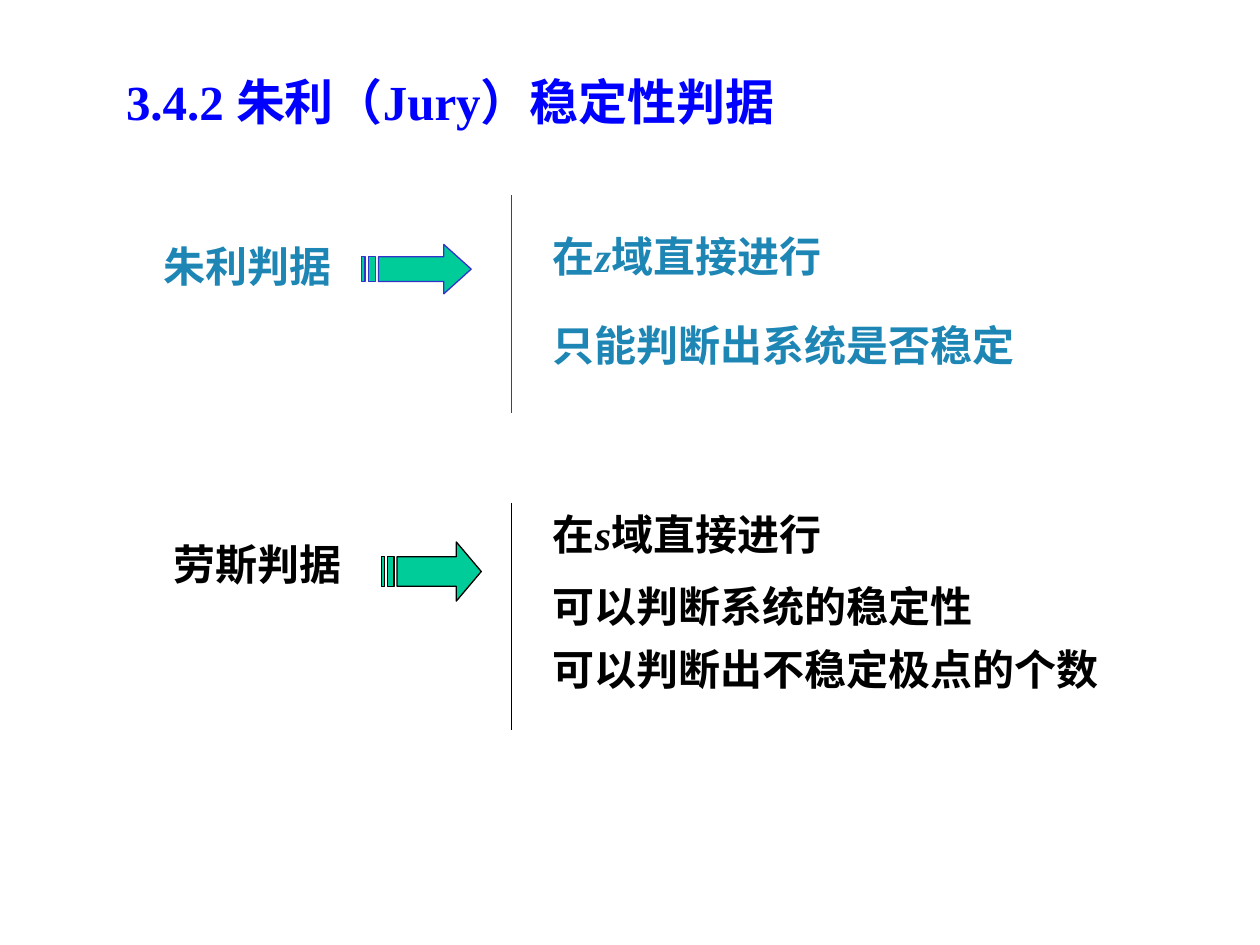
from dataclasses import dataclass

from lxml.etree import SubElement
from pptx import Presentation
from pptx.dml.color import RGBColor
from pptx.enum.shapes import MSO_CONNECTOR
from pptx.enum.text import MSO_ANCHOR, MSO_AUTO_SIZE, PP_ALIGN
from pptx.oxml.ns import qn
from pptx.util import Pt

COLORS = {
    "title": "0000FF",
    "jury": "1E86B4",
    "jury_line": "3333CC",
    "routh": "000000",
    "arrow": "00CC99",
}
FONT = "Times New Roman"
BAR_X = 292.3
NOTE_X = 308.9

# Striped arrow outlines on a 16 x 16 grid, in halves of a grid step
GRID = 32
ARROW = [
    [(5, 8), (24, 8), (24, 0), (32, 16), (24, 32), (24, 24), (5, 24)],
    [(0, 8), (1, 8), (1, 24), (0, 24)],
    [(2, 8), (4, 8), (4, 24), (2, 24)],
]


@dataclass
class Box:
    x: float
    y: float
    w: float
    h: float


@dataclass
class Note:
    box: Box
    lines: list[str]
    spacing: float = 1.0


@dataclass
class Criterion:
    name: str
    name_box: Box
    arrow: Box
    bar: tuple[float, float]
    text_color: str
    line_color: str
    notes: list[Note]


def rgb(name: str) -> RGBColor:
    return RGBColor.from_string(COLORS[name])


def set_text(shape, lines: list[str], *, color: str, size: float = 24,
             spacing: float = 1.0) -> None:
    """Write one paragraph per line; text between asterisks is italic."""
    tf = shape.text_frame
    tf.word_wrap = True
    tf.auto_size = MSO_AUTO_SIZE.NONE
    tf.vertical_anchor = MSO_ANCHOR.TOP
    for i, line in enumerate(lines):
        p = tf.paragraphs[0] if i == 0 else tf.add_paragraph()
        p.alignment = PP_ALIGN.LEFT
        p.line_spacing = spacing
        for j, part in enumerate(line.split("*")):
            r = p.add_run()
            r.text = part
            r.font.name = FONT
            r.font.size = Pt(size)
            r.font.bold = True
            r.font.italic = j % 2 == 1
            r.font.color.rgb = rgb(color)


def add_text(s, box: Box, lines: list[str], **fmt) -> None:
    sp = s.shapes.add_textbox(Pt(box.x), Pt(box.y), Pt(box.w), Pt(box.h))
    set_text(sp, lines, **fmt)


def add_arrow(s, box: Box, line_color: str) -> None:
    first, *stripes = ARROW
    scale = (Pt(box.w) / GRID, Pt(box.h) / GRID)
    fb = s.shapes.build_freeform(*first[0], scale=scale)
    fb.add_line_segments(first[1:], close=True)
    for stripe in stripes:
        fb.move_to(*stripe[0])
        fb.add_line_segments(stripe[1:], close=True)
    sp = fb.convert_to_shape(Pt(box.x), Pt(box.y))
    sp.shadow.inherit = False
    sp.fill.solid()
    sp.fill.fore_color.rgb = rgb("arrow")
    sp.line.color.rgb = rgb(line_color)
    sp.line.width = Pt(0.75)


def add_bar(s, top: float, bottom: float, color: str) -> None:
    c = s.shapes.add_connector(MSO_CONNECTOR.STRAIGHT, Pt(BAR_X), Pt(top),
                               Pt(BAR_X), Pt(bottom))
    c.line.color.rgb = rgb(color)
    c.line.width = Pt(0.75)
    SubElement(c.element.spPr, qn("a:effectLst"))


def add_criterion(s, item: Criterion) -> None:
    add_text(s, item.name_box, [item.name], color=item.text_color)
    add_arrow(s, item.arrow, item.line_color)
    add_bar(s, *item.bar, item.line_color)
    for note in item.notes:
        add_text(s, note.box, note.lines, color=item.text_color,
                 spacing=note.spacing)


CRITERIA = [
    Criterion(
        "朱利判据", Box(86.4, 134, 166, 36), Box(206.6, 139.7, 62.7, 28.2),
        (111.5, 236), "jury", "jury_line",
        [Note(Box(NOTE_X, 128.2, 291, 36), ["在*z*域直接进行"]),
         Note(Box(NOTE_X, 179.3, 323, 36), ["只能判断出系统是否稳定"])],
    ),
    Criterion(
        "劳斯判据", Box(92.2, 304, 155, 36), Box(218, 309.7, 57, 33.8),
        (287.2, 417.4), "routh", "routh",
        [Note(Box(NOTE_X, 287.2, 291, 36), ["在*s*域直接进行"]),
         Note(Box(NOTE_X, 321.1, 358.6, 79.2),
              ["可以判断系统的稳定性", "可以判断出不稳定极点的个数"], 1.25)],
    ),
]


def main() -> None:
    prs = Presentation()
    prs.slide_width, prs.slide_height = Pt(720), Pt(540)
    s = prs.slides.add_slide(prs.slide_layouts[5])

    # Heading
    title = s.shapes.title
    title.left, title.top = Pt(64.8), Pt(37.4)
    title.width, title.height = Pt(521.3), Pt(41)
    set_text(title, ["3.4.2 朱利（Jury）稳定性判据"], color="title", size=28)

    # The two criteria with their features
    for item in CRITERIA:
        add_criterion(s, item)

    prs.save("out.pptx")


if __name__ == "__main__":
    main()
